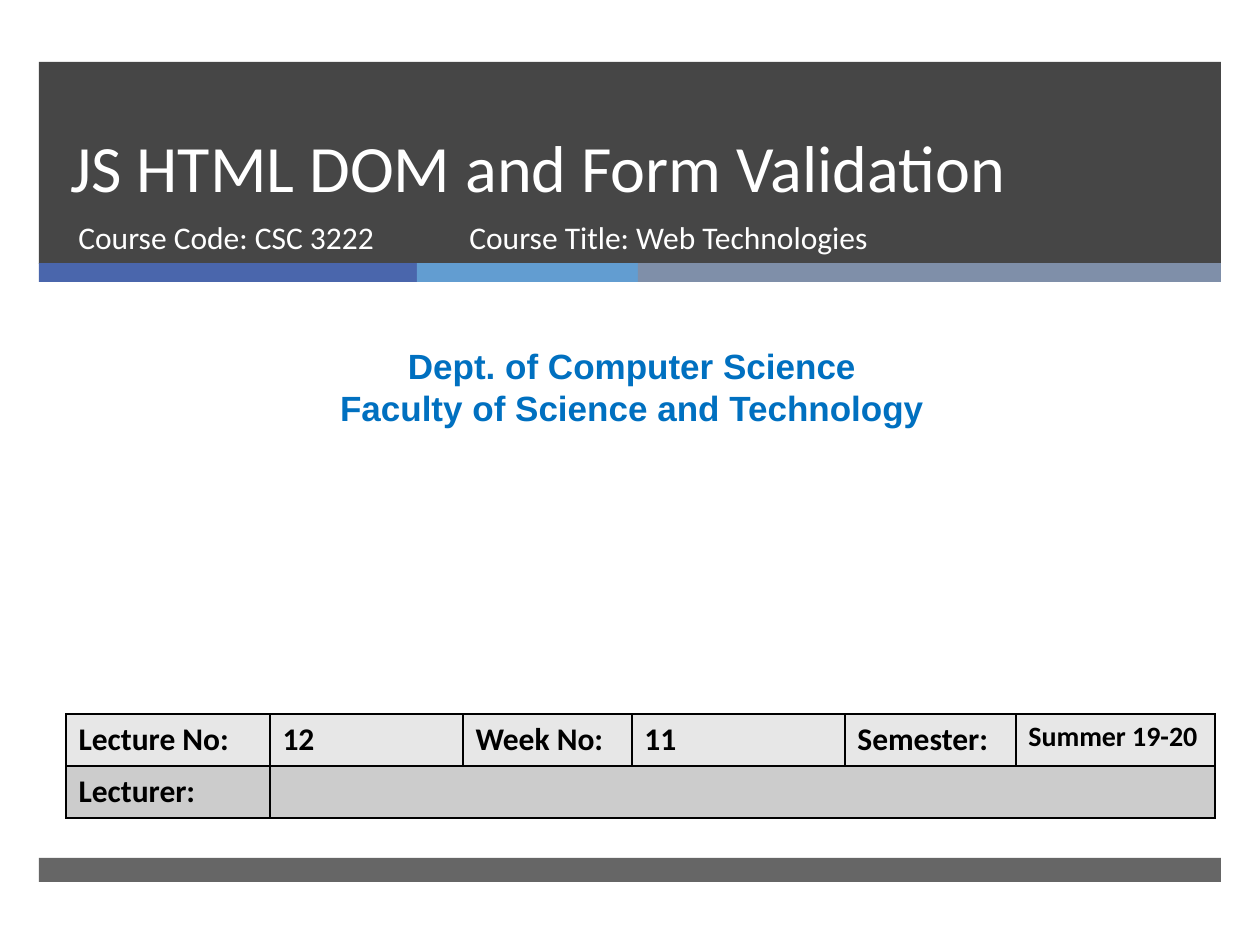
import dataclasses

import lxml.etree
import pptx
import pptx.dml.color
import pptx.enum.shapes
import pptx.enum.text
import pptx.oxml.ns
import pptx.util

SCALE = 914400 // 126
COLORS = {
    "dark": "262626",
    "blue": "4A66AC",
    "sky": "629DD1",
    "slate": "7F8FA9",
    "white": "FFFFFF",
    "black": "000000",
    "heading": "0070C0",
    "light_row": "E7E7E7",
    "dark_row": "CCCCCC",
}
ALIGN = pptx.enum.text.PP_ALIGN
ANCHOR = pptx.enum.text.MSO_ANCHOR


@dataclasses.dataclass
class Band:
    left: int
    top: int
    width: int
    height: int
    color: str
    opacity: int = 100


@dataclasses.dataclass
class Label:
    left: int
    top: int
    width: int
    height: int
    lines: list[str]
    size: float
    color: str = "white"
    font: str = "Calibri"
    bold: bool = False
    align: ALIGN = ALIGN.LEFT
    anchor: ANCHOR = ANCHOR.TOP
    spacing: float | None = None


BANDS = [
    Band(39, 62, 1182, 202, "dark", 85),
    Band(39, 263, 378, 19, "blue"),
    Band(417, 263, 221, 19, "sky"),
    Band(638, 263, 583, 19, "slate"),
    Band(39, 858, 1182, 24, "dark", 70),
]
LABELS = [
    Label(58, 62, 1076, 150, ["JS HTML DOM and Form Validation"], 37.8,
          anchor=ANCHOR.BOTTOM, spacing=46),
    Label(66, 212, 384, 67, ["Course Code: CSC 3222"], 18),
    Label(10, 338, 1244, 97,
          ["Dept. of Computer Science", "Faculty of Science and Technology"],
          20, "heading", "Arial", True, ALIGN.CENTER),
    Label(457, 212, 573, 67, ["Course Title: Web Technologies"], 18),
]
COLUMNS = [204, 193, 169, 213, 171, 199]
ROW_HEIGHT = 52
ROWS = [
    ("light_row", ["Lecture No:", "12", "Week No:", "11", "Semester:", "Summer 19-20"]),
    ("dark_row", ["Lecturer:", "", "", "", "", ""]),
]


def px(length: int) -> pptx.util.Emu:
    """Turn pixels into EMU."""
    return pptx.util.Emu(length * SCALE)


def rgb(name: str) -> pptx.dml.color.RGBColor:
    """Look up a named colour."""
    return pptx.dml.color.RGBColor.from_string(COLORS[name])


def style_font(para, font: str, size: float, color: str, bold: bool) -> None:
    """Set the font of a paragraph."""
    para.font.name = font
    para.font.size = pptx.util.Pt(size)
    para.font.bold = bold
    para.font.color.rgb = rgb(color)


def draw_band(page, band: Band) -> None:
    """Draw a filled rectangle without outline."""
    box = page.shapes.add_shape(
        pptx.enum.shapes.MSO_SHAPE.RECTANGLE,
        px(band.left), px(band.top), px(band.width), px(band.height))
    box.shadow.inherit = False
    box.line.fill.background()
    box.fill.solid()
    box.fill.fore_color.rgb = rgb(band.color)
    if band.opacity < 100:
        color = box.fill._xPr.find(".//" + pptx.oxml.ns.qn("a:srgbClr"))
        lxml.etree.SubElement(color, pptx.oxml.ns.qn("a:alpha"),
                              val=str(band.opacity * 1000))


def draw_label(page, label: Label) -> None:
    """Draw a text box with one paragraph per line."""
    box = page.shapes.add_textbox(
        px(label.left), px(label.top), px(label.width), px(label.height))
    frame = box.text_frame
    frame.word_wrap = True
    frame.vertical_anchor = label.anchor
    frame.text = "\n".join(label.lines)
    for para in frame.paragraphs:
        para.alignment = label.align
        if label.spacing:
            para.line_spacing = pptx.util.Pt(label.spacing)
        style_font(para, label.font, label.size, label.color, label.bold)


def draw_borders(cell) -> None:
    """Give a cell thin black borders on all sides."""
    properties = cell._tc.get_or_add_tcPr()
    for side in ("a:lnL", "a:lnR", "a:lnT", "a:lnB"):
        line = lxml.etree.SubElement(properties, pptx.oxml.ns.qn(side), w="12700")
        fill = lxml.etree.SubElement(line, pptx.oxml.ns.qn("a:solidFill"))
        lxml.etree.SubElement(fill, pptx.oxml.ns.qn("a:srgbClr"), val=COLORS["black"])


def draw_table(page, left: int, top: int) -> None:
    """Draw the lecture details table."""
    table = page.shapes.add_table(
        len(ROWS), len(COLUMNS), px(left), px(top),
        px(sum(COLUMNS)), px(ROW_HEIGHT * len(ROWS))).table
    for column, width in zip(table.columns, COLUMNS):
        column.width = px(width)
    for row, (color, texts) in enumerate(ROWS):
        table.rows[row].height = px(ROW_HEIGHT)
        for column, text in enumerate(texts):
            cell = table.cell(row, column)
            draw_borders(cell)
            cell.fill.solid()
            cell.fill.fore_color.rgb = rgb(color)
            cell.text = text
            size = 16 if text.startswith("Summer") else 18
            style_font(cell.text_frame.paragraphs[0], "Calibri", size, "black", True)
    table.cell(1, 1).merge(table.cell(1, len(COLUMNS) - 1))


def main() -> None:
    """Build the title slide and save it."""
    deck = pptx.Presentation()
    deck.slide_width = pptx.util.Inches(10)
    deck.slide_height = pptx.util.Inches(7.5)
    page = deck.slides.add_slide(deck.slide_layouts[6])
    for band in BANDS:
        draw_band(page, band)
    for label in LABELS:
        draw_label(page, label)
    draw_table(page, 66, 714)
    deck.save("out.pptx")


main()
